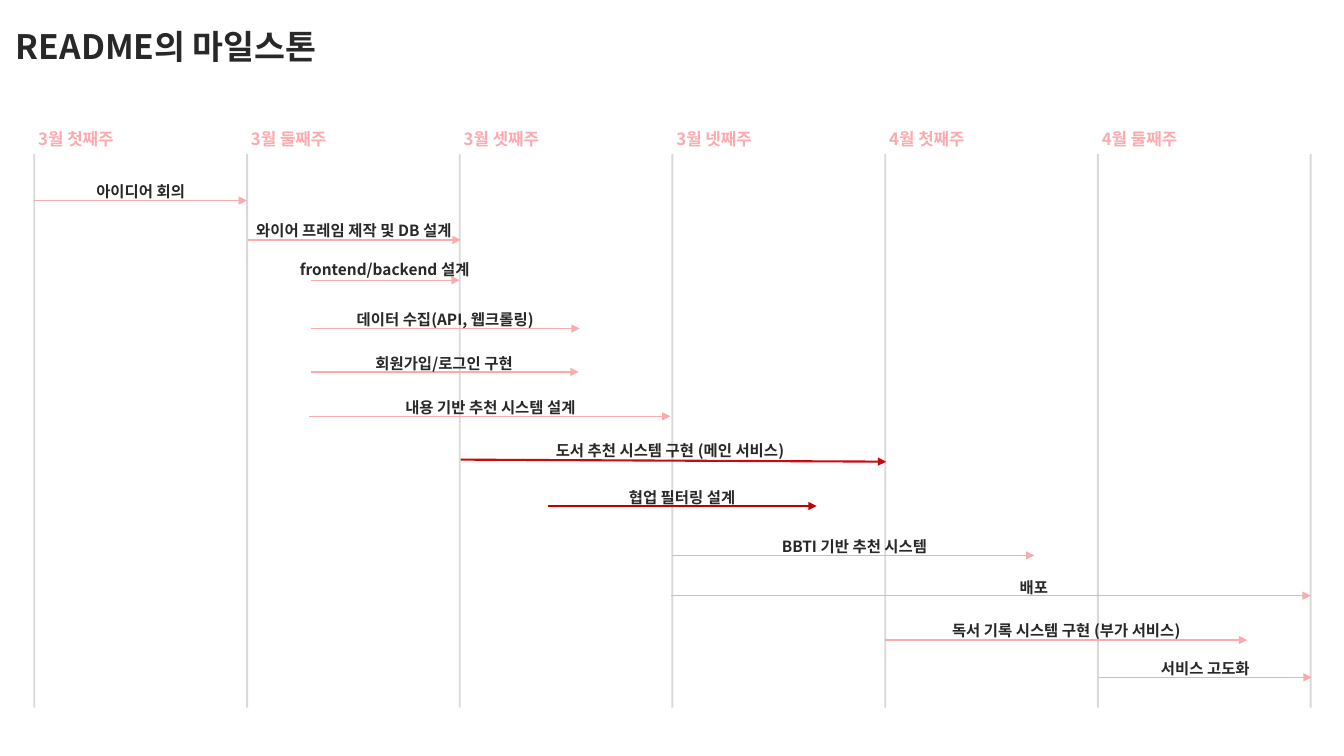
from dataclasses import dataclass

from lxml.etree import SubElement
from pptx import Presentation
from pptx.dml.color import RGBColor
from pptx.enum.shapes import MSO_CONNECTOR, MSO_SHAPE
from pptx.enum.text import MSO_ANCHOR, MSO_AUTO_SIZE, PP_ALIGN
from pptx.oxml.ns import qn
from pptx.util import Emu, Pt

EMU_PER_PX = 9144  # 100 px to the inch


@dataclass(frozen=True)
class Theme:
    font: str = "Noto Sans CJK KR"
    ink: str = "282828"
    pink: str = "FBABAE"
    grid: str = "D9D9D9"
    crimson: str = "C90A11"
    red: str = "C00000"
    title_size: int = 24
    week_size: int = 12
    task_size: int = 11
    thin: float = 1
    thick: float = 1.5


@dataclass(frozen=True)
class Task:
    name: str
    start: int
    end: int
    y: int
    label_top: int
    label_width: int = 249
    wrap: bool = True
    color: str = ""  # empty means a regular pink task
    drop: int = 0  # how far the arrow sinks towards its head
    shift: int = 0  # label offset from the middle of the arrow


THEME = Theme()

WEEKS = ["3월 첫째주", "3월 둘째주", "3월 셋째주", "3월 넷째주", "4월 첫째주", "4월 둘째주"]
FIRST_RULE, WEEK_WIDTH = 33, 211
RULE_TOP, RULE_WIDTH, RULE_HEIGHT = 153, 2, 549

TASKS = [
    Task("아이디어 회의", 34, 245, 199, 176, 115, wrap=False),
    Task("와이어 프레임 제작 및 DB 설계", 246, 457, 238, 214, 232, wrap=False),
    Task("frontend/backend 설계", 308, 456, 278, 253),
    Task("데이터 수집(API, 웹크롤링)", 308, 575, 326, 303),
    Task("회원가입/로그인 구현", 308, 574, 369, 346),
    Task("내용 기반 추천 시스템 설계", 306, 665, 413, 390, shift=1),
    Task("도서 추천 시스템 구현 (메인 서비스)", 457, 879, 456, 433, 293,
         color=THEME.crimson, drop=2, shift=-3),
    Task("협업 필터링 설계", 544, 810, 502, 479, color=THEME.red),
    Task("BBTI 기반 추천 시스템", 667, 1026, 551, 528, shift=1),
    Task("배포", 666, 1300, 591, 569, shift=43),
    Task("독서 기록 시스템 구현 (부가 서비스)", 878, 1237, 635, 611, 303),
    Task("서비스 고도화", 1090, 1301, 672, 649, 115, wrap=False),
]


def px(length):
    return Emu(length * EMU_PER_PX)


def apply_format(target, values):
    for name, value in values.items():
        setattr(target, name, value)


def add_text(page, text, left, top, width, height, size, color,
             wrap=True, align=PP_ALIGN.LEFT, anchor=MSO_ANCHOR.TOP):
    box = page.shapes.add_textbox(*map(px, (left, top, width, height)))
    apply_format(box.text_frame, {
        "word_wrap": wrap,
        "auto_size": MSO_AUTO_SIZE.SHAPE_TO_FIT_TEXT,
        "vertical_anchor": anchor,
    })
    para = box.text_frame.paragraphs[0]
    para.alignment = align
    span = para.add_run()
    span.text = text
    apply_format(span.font, {"size": Pt(size), "bold": True, "name": THEME.font})
    span.font.color.rgb = RGBColor.from_string(color)
    # Hangul takes the East Asian typeface
    SubElement(span.font._element, qn("a:ea"), typeface=THEME.font)


def add_rule(page, left):
    rule = page.shapes.add_shape(
        MSO_SHAPE.RECTANGLE, *map(px, (left, RULE_TOP, RULE_WIDTH, RULE_HEIGHT)))
    rule.shadow.inherit = False
    rule.fill.solid()
    rule.fill.fore_color.rgb = RGBColor.from_string(THEME.grid)
    rule.line.fill.background()


def add_arrow(page, start, end, y, drop, color, weight):
    arrow = page.shapes.add_connector(
        MSO_CONNECTOR.STRAIGHT, *map(px, (start, y, end, y + drop)))
    arrow.line.width = Pt(weight)
    arrow.line.color.rgb = RGBColor.from_string(color)
    SubElement(arrow.line._get_or_add_ln(), qn("a:tailEnd"), type="triangle")
    SubElement(arrow._element.spPr, qn("a:effectLst"))


def add_task(page, task):
    weight = THEME.thick if task.color else THEME.thin
    add_arrow(page, task.start, task.end, task.y, task.drop,
              task.color or THEME.pink, weight)
    left = (task.start + task.end - task.label_width) // 2 + task.shift
    add_text(page, task.name, left, task.label_top, task.label_width, 29,
             THEME.task_size, THEME.ink, wrap=task.wrap, align=PP_ALIGN.CENTER)


def main():
    deck = Presentation()
    apply_format(deck, {"slide_width": px(1333), "slide_height": px(750)})
    page = deck.slides.add_slide(deck.slide_layouts[6])

    # Title
    add_text(page, "README의 마일스톤", 6, 21, 779, 50,
             THEME.title_size, THEME.ink, anchor=MSO_ANCHOR.MIDDLE)

    # Week grid: one rule on each side of every week
    for index in range(len(WEEKS) + 1):
        add_rule(page, FIRST_RULE + index * WEEK_WIDTH)
    for index, week in enumerate(WEEKS):
        add_text(page, week, 28 + index * WEEK_WIDTH, 123, 100, 30,
                 THEME.week_size, THEME.pink, wrap=False)

    # Tasks
    for task in TASKS:
        add_task(page, task)

    deck.save("out.pptx")


if __name__ == "__main__":
    main()
